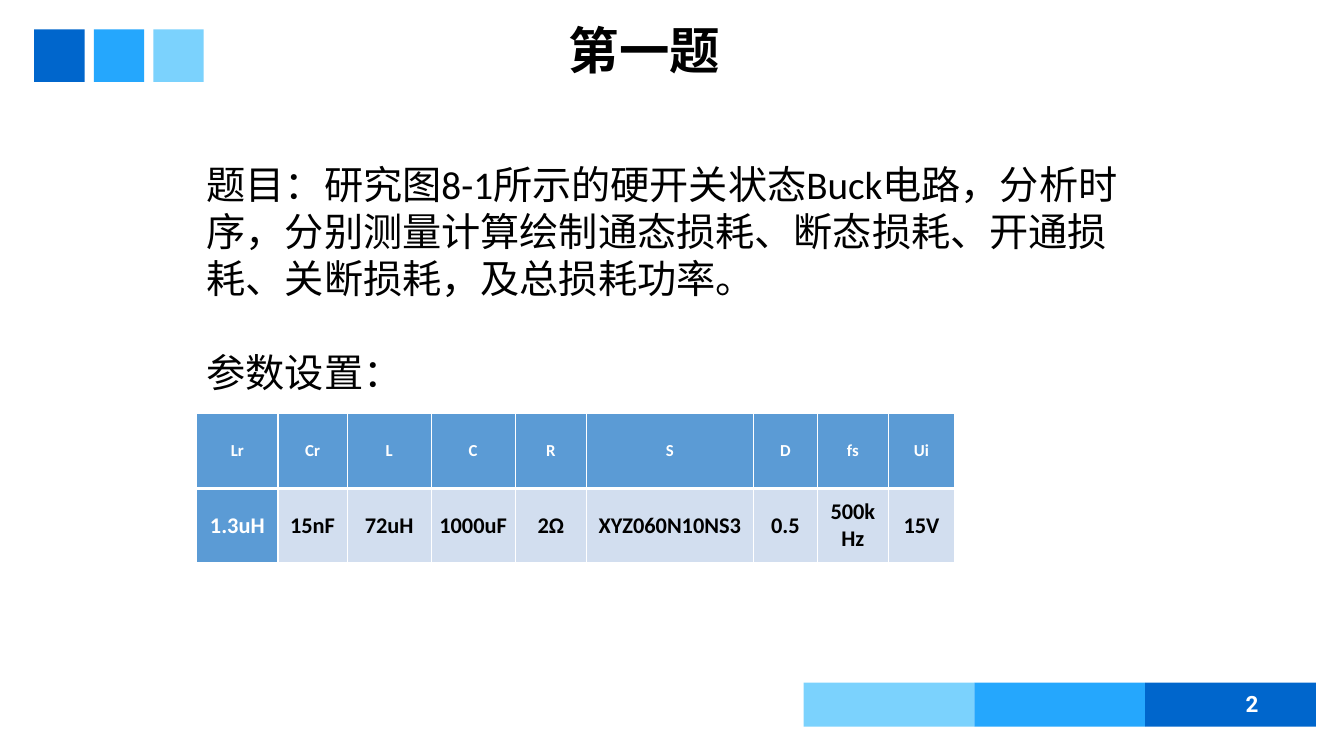
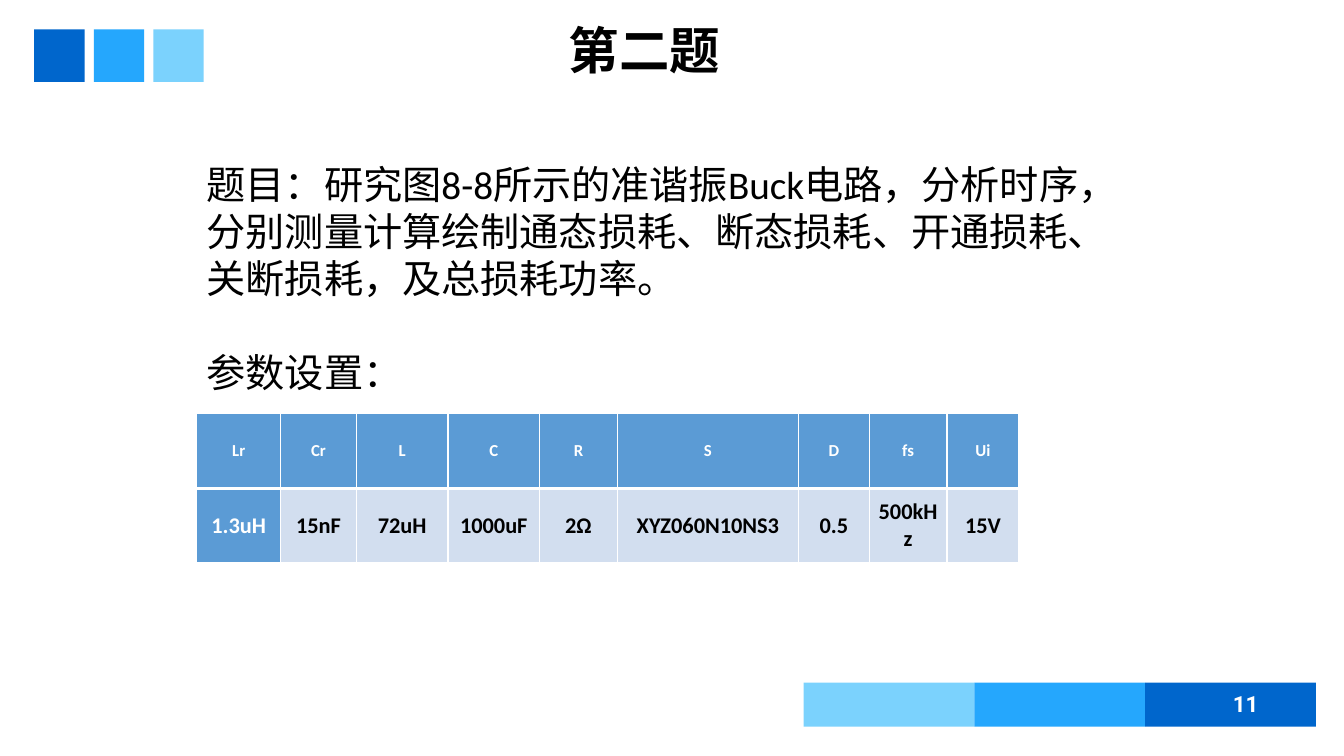
import pptx
import pptx.dml.color
import pptx.enum.shapes
import pptx.enum.text
import pptx.oxml
import pptx.oxml.ns
import pptx.util

Pt = pptx.util.Pt
ALIGN = pptx.enum.text.PP_ALIGN
ANCHOR = pptx.enum.text.MSO_ANCHOR

BLACK, WHITE = "000000", "FFFFFF"
BLUES = ["0066CC", "25A7FD", "7BD2FD"]
HEADER_FILL, VALUE_FILL = "5B9BD5", "D2DEEF"
BODY_FONT, NUMBER_FONT = "Calibri", "Roboto"
TITLE_ONLY_LAYOUT = 5


def rgb(color):
    return pptx.dml.color.RGBColor.from_string(color)


class QuestionDeck:
    def __init__(self):
        self.deck = pptx.Presentation()
        self.deck.slide_width, self.deck.slide_height = Pt(960), Pt(540)
        self.layout = self.deck.slide_layouts[TITLE_ONLY_LAYOUT]
        self.page = None

    def add_page(self, title):
        self.page = self.deck.slides.add_slide(self.layout)
        if len(self.deck.slides) == 1:
            self.decorate_layout()
        box = self.page.shapes.title
        box.left, box.top, box.width, box.height = Pt(399), Pt(12), Pt(163), Pt(49)
        frame = box.text_frame
        frame.auto_size = pptx.enum.text.MSO_AUTO_SIZE.NONE
        frame.vertical_anchor = ANCHOR.BOTTOM
        para = frame.paragraphs[0]
        para.alignment = ALIGN.LEFT
        para.line_spacing = 0.9
        self.add_run(para, title, 36, bold=True)

    def decorate_layout(self):
        """Put the squares and the footer band on the layout all pages share."""
        for index, color in enumerate(BLUES):
            self.add_layout_block(24.5 + 42.5 * index, 21, 36, 37.5, color)
        for index, color in enumerate(reversed(BLUES)):
            self.add_layout_block(574 + 122 * index, 487.5, 122, 31.5, color)

    def add_layout_block(self, left, top, width, height, color):
        """Draw a rectangle on the page, then move it to the layout."""
        block = self.page.shapes.add_shape(
            pptx.enum.shapes.MSO_SHAPE.RECTANGLE, Pt(left), Pt(top), Pt(width), Pt(height))
        block.shadow.inherit = False
        block.fill.solid()
        block.fill.fore_color.rgb = rgb(color)
        block.line.fill.background()
        tree = self.layout.shapes.element
        block.element.nvSpPr.cNvPr.set("id", str(100 + len(tree)))
        tree.append(block.element)

    def add_run(self, para, text, size, color=BLACK, bold=False, font=BODY_FONT):
        span = para.add_run()
        span.text = text
        span.font.size = Pt(size)
        span.font.name = font
        span.font.bold = bold
        span.font.color.rgb = rgb(color)

    def add_text_box(self, left, top, width, height):
        box = self.page.shapes.add_textbox(Pt(left), Pt(top), Pt(width), Pt(height))
        box.text_frame.word_wrap = True
        return box.text_frame

    def add_question(self, question, caption):
        frame = self.add_text_box(140.5, 111, 680, 177)
        self.add_run(frame.paragraphs[0], question, 28)
        para = frame.add_paragraph()
        para.space_before = Pt(33.6)
        self.add_run(para, caption, 28)

    def add_page_number(self, number):
        frame = self.add_text_box(690, 488, 216, 29)
        frame.vertical_anchor = ANCHOR.MIDDLE
        para = frame.paragraphs[0]
        para.alignment = ALIGN.RIGHT
        self.add_run(para, str(number), 16, WHITE, True, NUMBER_FONT)

    def add_parameter_table(self, parameters, widths):
        heights = [54, 52.5]
        table = self.page.shapes.add_table(
            2, len(widths), Pt(140.5), Pt(295), Pt(sum(widths)), Pt(sum(heights))).table
        table.horz_banding = False
        for row, height in zip(table.rows, heights):
            row.height = Pt(height)
        for index, ((name, value), width) in enumerate(zip(parameters.items(), widths)):
            table.columns[index].width = Pt(width)
            value_fill, value_color = (VALUE_FILL, BLACK) if index else (HEADER_FILL, WHITE)
            self.fill_cell(table.cell(0, index), name, 12, WHITE, HEADER_FILL, bottom=3)
            self.fill_cell(table.cell(1, index), value, 16, value_color, value_fill, top=3)

    def fill_cell(self, cell, text, size, color, fill, top=1, bottom=1):
        cell.vertical_anchor = ANCHOR.MIDDLE
        cell.margin_left = cell.margin_right = Pt(5)
        cell.margin_top = cell.margin_bottom = Pt(0)
        para = cell.text_frame.paragraphs[0]
        para.alignment = ALIGN.CENTER
        self.add_run(para, text, size, color, True)
        properties = cell._tc.get_or_add_tcPr()
        for side, width in {"L": 1, "R": 1, "T": top, "B": bottom}.items():
            properties.append(pptx.oxml.parse_xml(
                f'<a:ln{side} {pptx.oxml.ns.nsdecls("a")} w="{Pt(width)}"><a:solidFill>'
                f'<a:srgbClr val="{WHITE}"/></a:solidFill></a:ln{side}>'))
        cell.fill.solid()
        cell.fill.fore_color.rgb = rgb(fill)


PARAMETERS = {
    "Lr": "1.3uH", "Cr": "15nF", "L": "72uH", "C": "1000uF", "R": "2Ω",
    "S": "XYZ060N10NS3", "D": "0.5", "fs": "500kHz", "Ui": "15V",
}
QUESTION = ("题目：研究图{}所示的{}Buck电路，分析时序，分别测量计算绘制"
            "通态损耗、断态损耗、开通损耗、关断损耗，及总损耗功率。")
# title, page number, figure, circuit type, column widths
PAGES = [
    ("第一题", 2, "8-1", "硬开关状态", [58, 49.5, 60, 60, 51, 119, 46, 50.5, 47.5]),
    ("第二题", 11, "8-8", "准谐振", [60, 54, 65.5, 65.5, 55.5, 129.5, 50.5, 55.5, 51.5]),
]


def main():
    questions = QuestionDeck()
    for title, number, figure, circuit, widths in PAGES:
        questions.add_page(title)
        questions.add_page_number(number)
        questions.add_question(QUESTION.format(figure, circuit), "参数设置：")
        questions.add_parameter_table(PARAMETERS, widths)
    questions.deck.save("out.pptx")


if __name__ == "__main__":
    main()
